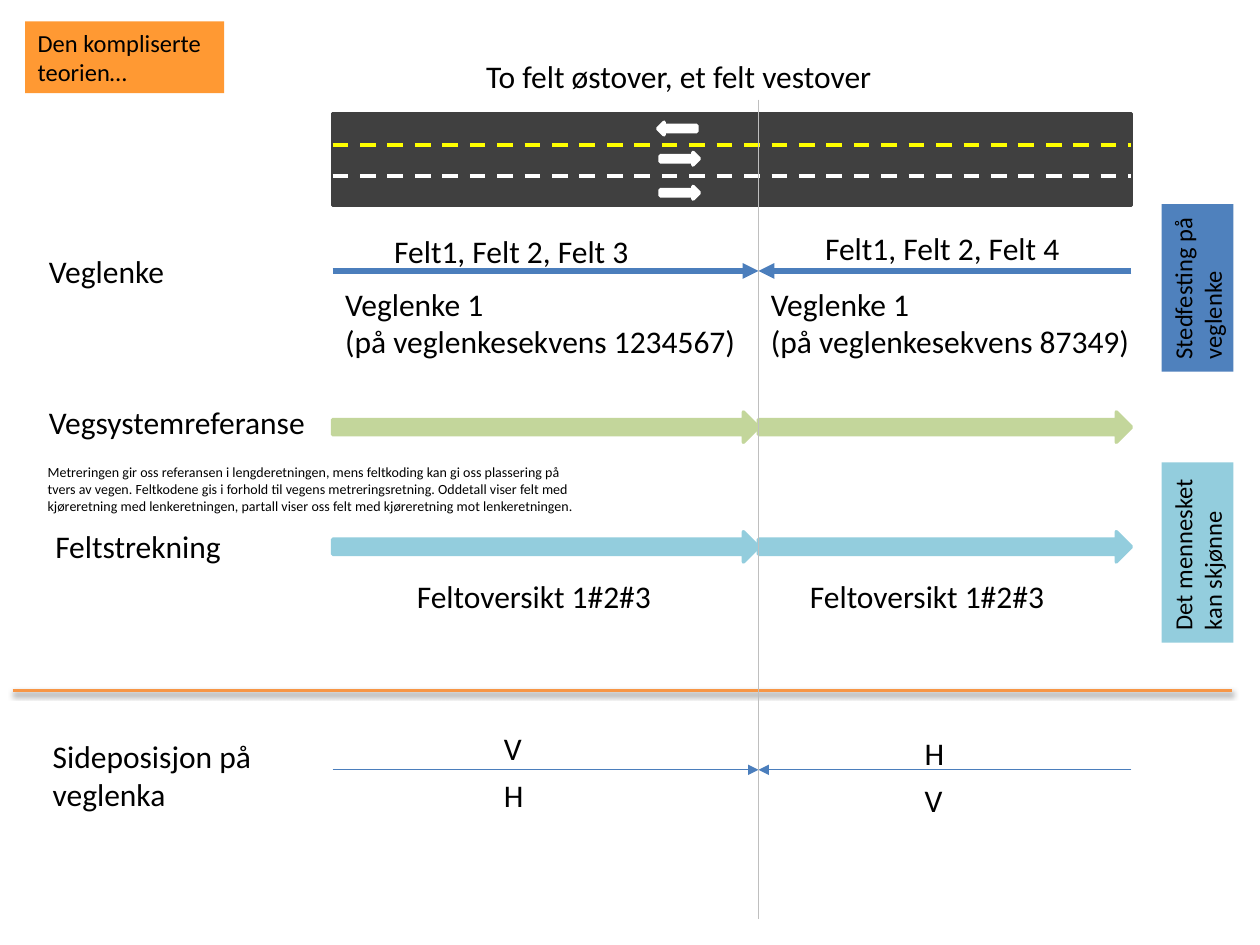
from lxml import etree
from pptx import Presentation
from pptx import util as u
from pptx.dml.color import RGBColor
from pptx.enum import dml, shapes, text
from pptx.oxml import ns

LEFT, MIDDLE, RIGHT = 2.64, 6.02, 8.98
BLUE, GREEN, AQUA, ORANGE = "4B7EBC", "C3D69B", "93CDDD", "F79646"
ASPHALT, WHITE, YELLOW, GREY = "404040", "FFFFFF", "FFFF00", "BFBFBF"


def color(hex_string):
    return RGBColor.from_string(hex_string)


def add_child(parent, tag, **attributes):
    child = etree.SubElement(parent, ns.qn(tag))
    for name, value in attributes.items():
        child.set(name, str(value))
    return child


def write_text(shape, content, size=18, font="Calibri", fill="000000", wrap=True,
               anchor=text.MSO_ANCHOR.TOP):
    frame = shape.text_frame
    frame.text = content
    frame.word_wrap = wrap
    frame.vertical_anchor = anchor
    for paragraph in frame.paragraphs:
        paragraph.alignment = text.PP_ALIGN.LEFT
        paragraph.font.size = u.Pt(size)
        paragraph.font.name = font
        paragraph.font.color.rgb = color(fill)


class RoadSlide:
    """Holds the current slide and the style of its elements."""

    label_size = 14
    outline = 2

    def __init__(self, presentation):
        self.slide = presentation.slides.add_slide(presentation.slide_layouts[6])

    def text(self, content, left, top, width, height=0.4, **style):
        box = self.slide.shapes.add_textbox(*map(u.Inches, (left, top, width, height)))
        write_text(box, content, **style)

    def shape(self, kind, left, top, width, height, fill, outlined=True, rotation=0):
        shape = self.slide.shapes.add_shape(kind, *map(u.Inches, (left, top, width, height)))
        shape.shadow.inherit = False
        shape.rotation = rotation
        shape.fill.solid()
        shape.fill.fore_color.rgb = color(fill)
        if outlined:
            shape.line.color.rgb = color(fill)
            shape.line.width = u.Pt(self.outline)
        else:
            shape.line.fill.background()
        return shape

    def arrow(self, left, top, width, height, fill, rotation=0):
        self.shape(shapes.MSO_SHAPE.RIGHT_ARROW, left, top, width, height, fill,
                   rotation=rotation)

    def label(self, content, left, top, width, height, fill, rotation=0):
        box = self.shape(shapes.MSO_SHAPE.RECTANGLE, left, top, width, height, fill,
                         outlined=False, rotation=rotation)
        write_text(box, content, size=self.label_size)

    def line(self, start, end, stroke, width, arrowhead=False, dashed=False, shadow=False):
        line = self.slide.shapes.add_connector(
            shapes.MSO_CONNECTOR.STRAIGHT, *map(u.Inches, (*start, *end)))
        line.line.color.rgb = color(stroke)
        line.line.width = u.Pt(width)
        if dashed:
            line.line.dash_style = dml.MSO_LINE.DASH
        properties = line._element.spPr
        if arrowhead:
            add_child(properties.find(ns.qn("a:ln")), "a:tailEnd", type="triangle")
        effects = add_child(properties, "a:effectLst")
        if shadow:
            outer = add_child(effects, "a:outerShdw", blurRad=u.Pt(3.1), dist=u.Pt(1.6),
                              dir=90 * 60000, rotWithShape=0)
            shade = add_child(outer, "a:srgbClr", val="000000")
            add_child(shade, "a:alpha", val=38000)

    def facing_lines(self, y, width):
        """Draw one arrow from each end of the road to the middle."""
        for start in (LEFT, RIGHT):
            self.line((start, y), (MIDDLE, y), BLUE, width, arrowhead=True)


def main():
    presentation = Presentation()
    presentation.slide_width = u.Inches(10)
    presentation.slide_height = u.Inches(7.5)
    road = RoadSlide(presentation)

    # Road links
    road.facing_lines(2.15, 3)
    road.text("Veglenke", 0.29, 1.95, 1.31)
    road.text("Felt1, Felt 2, Felt 3", 3.03, 1.79, 2.28)
    road.text("Felt1, Felt 2, Felt 4", 6.45, 1.77, 2.25)
    for left, sequence in ((LEFT, "1234567"), (MIDDLE, "87349")):
        road.text(f"Veglenke 1\n(på veglenkesekvens {sequence})", left, 2.21, 3.39, 0.71)

    # Road system reference and lane stretches
    for top, fill in ((3.27, GREEN), (4.22, AQUA)):
        for start, end in ((LEFT, MIDDLE), (MIDDLE, RIGHT)):
            road.arrow(start, top, end - start, 0.24, fill)
    road.text("Vegsystemreferanse", 0.29, 3.15, 2.25, wrap=False)
    road.text("Feltstrekning", 0.34, 4.13, 1.89)
    for left in (3.21, 6.33):
        road.text("Feltoversikt 1#2#3", left, 4.53, 2.14)
    road.text(
        "Metreringen gir oss referansen i lengderetningen, mens feltkoding kan gi oss "
        "plassering på tvers av vegen. Feltkodene gis i forhold til vegens "
        "metreringsretning. Oddetall viser felt med kjøreretning med lenkeretningen, "
        "partall viser oss felt med kjøreretning mot lenkeretningen.",
        0.28, 3.63, 4.4, 0.5, size=8)

    # Side position
    road.line((0.1, 5.48), (9.78, 5.48), ORANGE, 2, shadow=True)
    road.facing_lines(6.11, 0.75)
    road.text("Sideposisjon på veglenka", 0.32, 5.8, 1.89, 0.71)
    for left, top, sides in ((3.9, 5.74, "VH"), (7.24, 5.78, "HV")):
        for row, side in enumerate(sides):
            road.text(side, left, top + 0.37 * row, 0.39)

    # Road with three lanes
    road.text("To felt østover, et felt vestover", 3.76, 0.4, 4.09)
    road.shape(shapes.MSO_SHAPE.RECTANGLE, LEFT, 0.9, RIGHT - LEFT, 0.73, ASPHALT)
    for y, stroke in ((1.15, YELLOW), (1.4, WHITE)):
        road.line((LEFT, y), (RIGHT, y), stroke, 2.25, dashed=True)
    for left, top, rotation in ((5.22, 0.97, 180), (5.24, 1.21, 0), (5.24, 1.48, 0)):
        road.arrow(left, top, 0.31, 0.1, WHITE, rotation)
    road.line((MIDDLE, 0.79), (MIDDLE, 7.29), GREY, 0.75)

    # Coloured labels
    road.label("Den kompliserte teorien…", 0.2, 0.17, 1.58, 0.57, "FF9933")
    road.label("Stedfesting på veglenke", 8.84, 2, 1.33, 0.57, "4F81BD", rotation=270)
    road.label("Det mennesket kan skjønne", 8.79, 4.1, 1.43, 0.57, AQUA, rotation=270)

    presentation.save("out.pptx")


if __name__ == "__main__":
    main()
